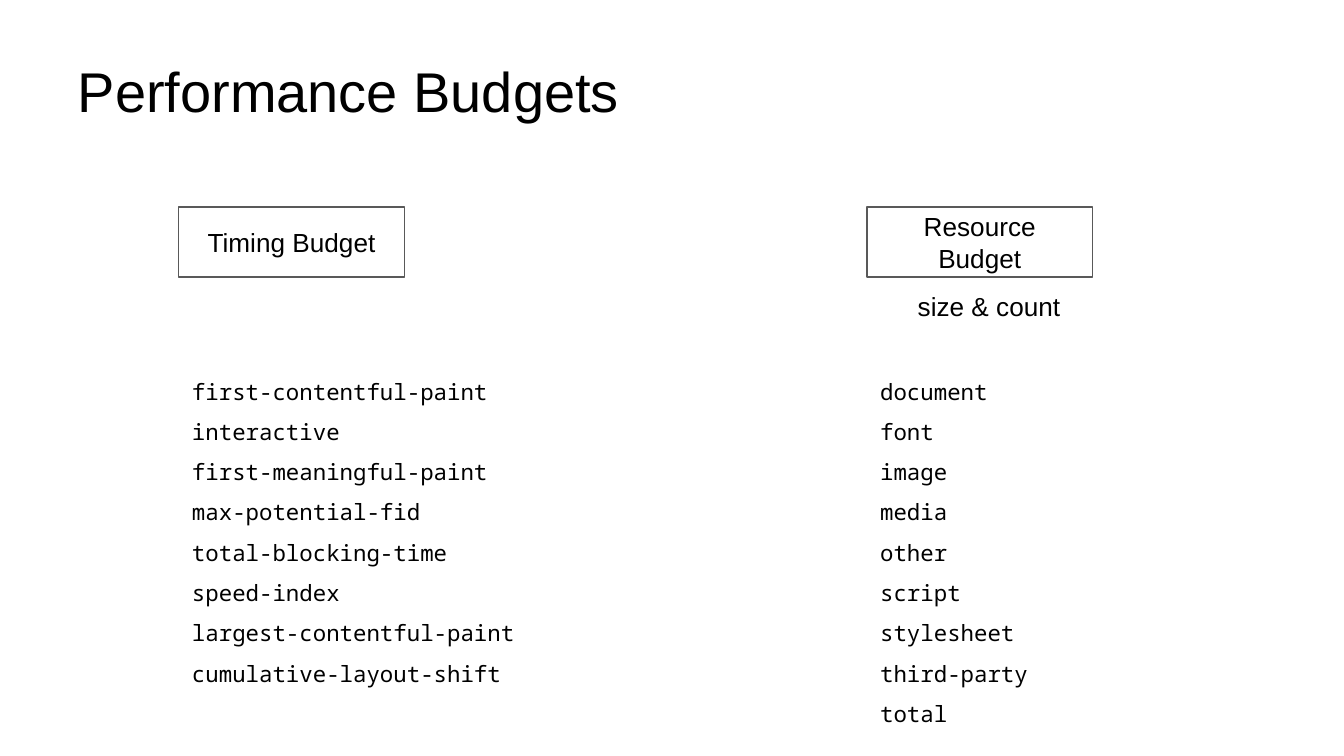
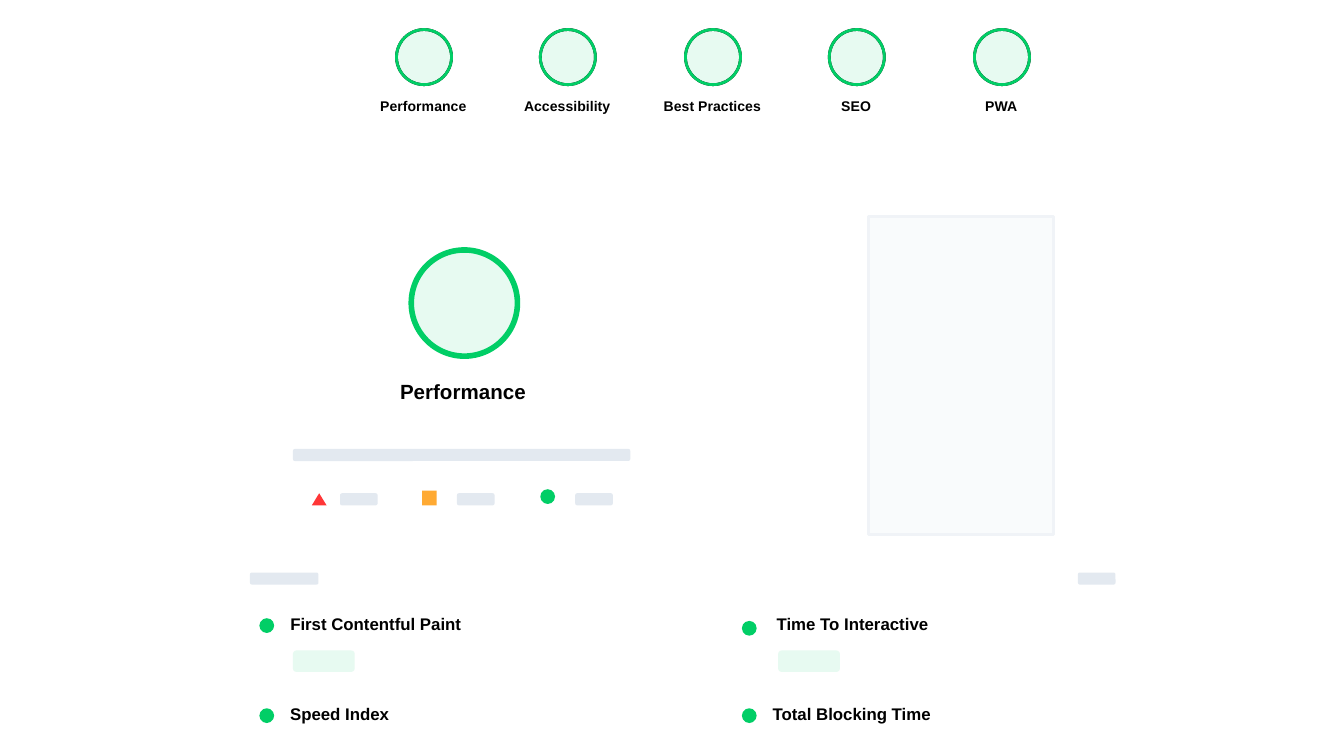
from pptx import Presentation
from pptx import util as u
from pptx.dml.color import RGBColor
from pptx.enum import shapes, text

PX = 9144  # 100 px to the inch
FONT, MONO = "Arial", "Noto Sans Mono"
C = {
    "black": "000000", "white": "FFFFFF", "border": "595959",
    "green": "01CE66", "mint": "E7FAF1", "orange": "FFAA33", "red": "FF3637",
    "bar": "E3E9F0", "panel": "F9FBFC", "panel_line": "F0F3F7",
}
RECT = shapes.MSO_SHAPE.RECTANGLE
ROUND = shapes.MSO_SHAPE.ROUNDED_RECTANGLE
OVAL = shapes.MSO_SHAPE.OVAL
TRIANGLE = shapes.MSO_SHAPE.ISOSCELES_TRIANGLE
LEFT, CENTER = text.PP_ALIGN.LEFT, text.PP_ALIGN.CENTER


def add_shape(s, kind, box, fill=None, line=None, width=0.75):
    sp = s.shapes.add_shape(kind, *[v * PX for v in box])
    sp.shadow.inherit = False
    if fill:
        sp.fill.solid()
        sp.fill.fore_color.rgb = RGBColor.from_string(C[fill])
    else:
        sp.fill.background()
    if line:
        sp.line.color.rgb = RGBColor.from_string(C[line])
        sp.line.width = u.Pt(width)
    else:
        sp.line.fill.background()
    return sp


def add_text(s, box, lines, size, align=LEFT, bold=False, font=FONT, spacing=None, sp=None):
    """Write lines into sp, or into a new text box when sp is not given."""
    anchor = text.MSO_ANCHOR.MIDDLE if sp else text.MSO_ANCHOR.TOP
    sp = sp or s.shapes.add_textbox(*[v * PX for v in box])
    tf = sp.text_frame
    tf.word_wrap = True
    tf.vertical_anchor = anchor
    tf.margin_left = tf.margin_right = tf.margin_top = tf.margin_bottom = 10 * PX
    for i, line in enumerate(lines):
        p = tf.add_paragraph() if i else tf.paragraphs[0]
        p.alignment = align
        if spacing:
            p.line_spacing = spacing
        r = p.add_run()
        r.text = line
        r.font.name = font
        r.font.size = u.Pt(size)
        r.font.bold = bold
        r.font.color.rgb = RGBColor.from_string(C["black"])


prs = Presentation()
prs.slide_width, prs.slide_height = u.Inches(10), u.Inches(5.625)
blank = prs.slide_layouts[6]

# Slide 1: performance budgets
s = prs.slides.add_slide(blank)
add_text(s, (48, 32, 831, 71), ["Performance Budgets"], 30)

budgets = [
    (133, 265, "Timing Budget", [
        "first-contentful-paint", "interactive", "first-meaningful-paint",
        "max-potential-fid", "total-blocking-time", "speed-index",
        "largest-contentful-paint", "cumulative-layout-shift"]),
    (645, 222, "Resource Budget", [
        "document", "font", "image", "media", "other", "script",
        "stylesheet", "third-party", "total"]),
]
for x, w, heading, metrics in budgets:
    box = (x, 154, 168, 52)
    sp = add_shape(s, RECT, box, "white", "border")
    add_text(s, box, [heading], 14, CENTER, sp=sp)
    add_text(s, (x, 261, w, 20 + 29 * len(metrics)), metrics, 12, font=MONO, spacing=1.5)
add_text(s, (593, 206, 286, 44), ["size & count"], 14, CENTER)

# Slide 2: audit report mock-up
s = prs.slides.add_slide(blank)

# Category gauges
categories = ["Performance", "Accessibility", "Best Practices", "SEO", "PWA"]
for i, name in enumerate(categories):
    x = 295 + i * 215 // 2
    add_shape(s, OVAL, (x, 22, 41, 41), "mint", "black", 1.5)
    add_shape(s, OVAL, (x, 22, 41, 41), None, "green", 1.5)
    add_text(s, (x - 29, 66, 98, 39), [name], 7.5, CENTER, True)

# Main score
add_shape(s, OVAL, (306, 186, 79, 79), "mint", "green", 3)
add_text(s, (277, 273, 135, 39), ["Performance"], 11, CENTER, True)

# Screenshot panel
add_shape(s, RECT, (646, 161, 138, 237), "panel", "panel_line", 1.5)

# Score legend
for kind, box, fill in [(TRIANGLE, (232, 367, 11, 9), "red"),
                        (RECT, (314, 365, 11, 11), "orange"),
                        (OVAL, (402, 364, 11, 11), "green")]:
    add_shape(s, kind, box, fill)

# Grey placeholder bars
for x, y, w in [(218, 334, 251), (253, 367, 28), (340, 367, 28),
                (428, 367, 28), (186, 426, 51), (802, 426, 28)]:
    add_shape(s, ROUND, (x, y, w, 9), "bar")

# Metrics: dot position, label position, alignment
metrics = [
    ("First Contentful Paint", 193, 460, 190, 449, CENTER),
    ("Time To Interactive", 552, 462, 568, 449, LEFT),
    ("Speed Index", 193, 527, 206, 516, LEFT),
    ("Total Blocking Time", 552, 527, 565, 516, LEFT),
]
for name, dot_x, dot_y, x, y, align in metrics:
    add_shape(s, OVAL, (dot_x, dot_y, 11, 11), "green")
    add_text(s, (x, y, 179, 39), [name], 9, align, True)
for x in (218, 579):
    add_shape(s, ROUND, (x, 484, 46, 16), "mint")

prs.save("out.pptx")
